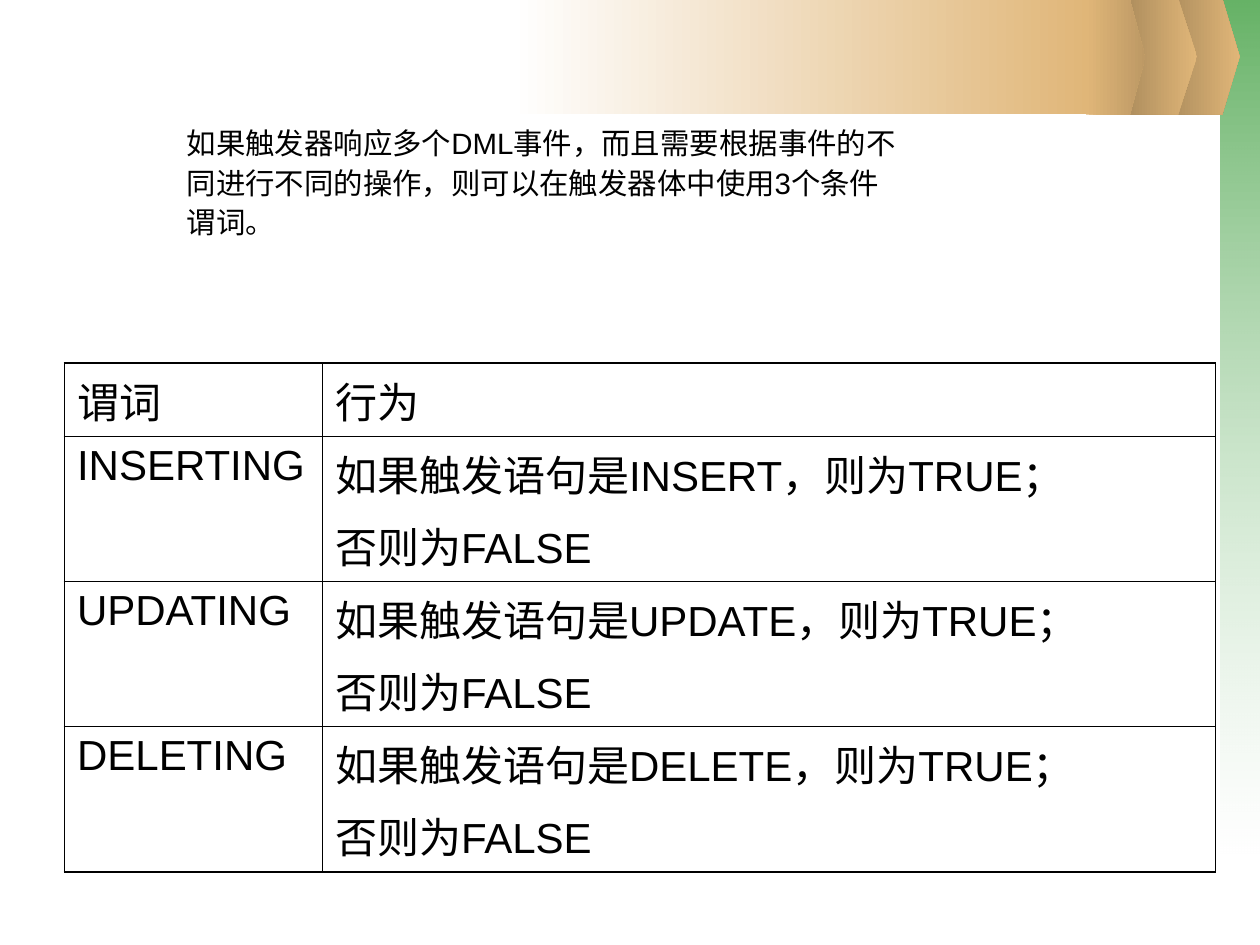
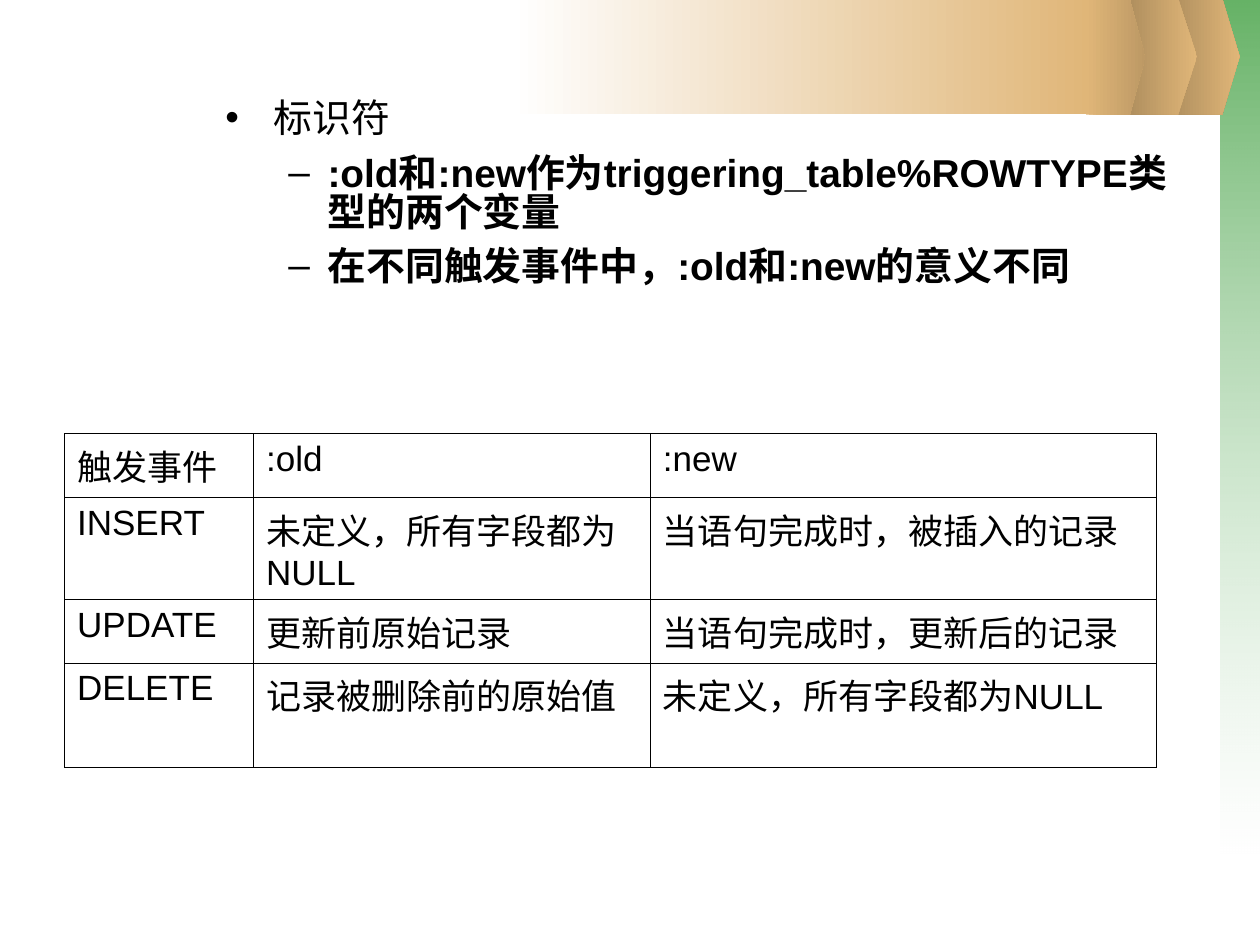
from lxml import etree
from pptx import Presentation
from pptx import util as u
from pptx.dml.color import RGBColor
from pptx.enum import shapes, text
from pptx.oxml.ns import qn

BLACK = RGBColor(0x00, 0x00, 0x00)
WHITE = RGBColor(0xFF, 0xFF, 0xFF)
GREEN = RGBColor(0x33, 0x99, 0x33)
SAND = RGBColor(0xE0, 0xB6, 0x78)
BROWN = RGBColor(0xAB, 0x8B, 0x5C)
DARK_SAND = RGBColor(0xBD, 0x99, 0x65)

FONT = "Arial"
THIN, THICK = u.Pt(0.45), u.Pt(1.08)
BULLETS = {0: "•", 1: "–"}
BULLET_INDENTS = {0: (0.97, -0.97), 1: (2.06, -0.79)}


def cm(*lengths):
    return [u.Cm(length) for length in lengths]


def apply(target, values):
    for name, value in values.items():
        setattr(target, name, value)


def child(parent, tag, **attributes):
    return etree.SubElement(parent, qn(tag), attributes)


class SlideBuilder:
    def __init__(self):
        self.deck = Presentation()
        apply(self.deck, {"slide_width": u.Cm(25.4), "slide_height": u.Cm(19.05)})
        self.layout = self.deck.slide_layouts[1]
        self.page = None
        self.shared = []

    def new_page(self):
        self.page = self.deck.slides.add_slide(self.layout)
        title = self.page.shapes.title.element
        title.getparent().remove(title)

    def gradient(self, shape, colors, angle=0, alphas=()):
        shape.shadow.inherit = False
        shape.line.fill.background()
        shape.fill.gradient()
        shape.fill.gradient_angle = angle
        for stop, color in zip(shape.fill.gradient_stops, colors):
            stop.color.rgb = color
        solid_colors = shape.element.spPr.iter(qn("a:srgbClr"))
        for color, alpha in zip(list(solid_colors), alphas):
            child(color, "a:alpha", val=str(alpha * 1000))
        self.shared.append(shape.element)

    def strip(self, bounds, colors, **style):
        shape = self.page.shapes.add_shape(shapes.MSO_SHAPE.RECTANGLE, *cm(*bounds))
        self.gradient(shape, colors, **style)

    def chevron(self, left, shoulder, tip, top, colors):
        bottom = 2.31
        outline = self.page.shapes.build_freeform(*cm(left, top))
        corners = [(shoulder, top), (tip, (top + bottom) / 2), (shoulder, bottom), (left, bottom)]
        outline.add_line_segments([cm(*corner) for corner in corners])
        self.gradient(outline.convert_to_shape(), colors)

    def share_bands(self):
        tree = self.layout.shapes.element
        for index, band in enumerate(self.shared):
            next(band.iter(qn("p:cNvPr"))).set("id", str(20 + index))
            tree.insert(2 + index, band)

    def add_words(self, para, words, size, bold=False):
        span = para.add_run()
        span.text = words
        apply(span.font, {"name": FONT, "size": u.Pt(size), "bold": bold})
        span.font.color.rgb = BLACK

    def paragraphs(self, frame, count):
        return [frame.paragraphs[0]] + [frame.add_paragraph() for _ in range(count - 1)]

    def body(self, bounds, lines, size, bulleted=False):
        box = self.page.placeholders[1]
        apply(box, dict(zip(("left", "top", "width", "height"), cm(*bounds))))
        frame = box.text_frame
        apply(frame, {"word_wrap": True, "auto_size": text.MSO_AUTO_SIZE.NONE})
        paras = self.paragraphs(frame, len(lines))
        for index, (para, (level, words)) in enumerate(zip(paras, lines)):
            properties = para._p.get_or_add_pPr()
            margin, indent = cm(*BULLET_INDENTS[level])
            properties.set("marL", str(margin))
            properties.set("indent", str(indent))
            if bulleted:
                child(child(properties, "a:buClr"), "a:srgbClr", val=str(BLACK))
                child(properties, "a:buChar", char=BULLETS[level])
            else:
                child(properties, "a:buNone")
            apply(para, {
                "level": level,
                "line_spacing": 0.83,
                "space_before": u.Pt(6 if index else 0),
                "space_after": u.Pt(3 if bulleted else 0),
            })
            self.add_words(para, words, size, bold=level > 0)

    def border(self, cell, widths):
        properties = cell._tc.get_or_add_tcPr()
        for index, (side, width) in enumerate(zip("LRTB", widths)):
            line = etree.Element(qn(f"a:ln{side}"), w=str(int(width)))
            child(child(line, "a:solidFill"), "a:srgbClr", val=str(BLACK))
            properties.insert(index, line)

    def table(self, left, top, columns, heights, rows, size, gap, outer):
        bounds = cm(left, top, sum(columns), sum(heights))
        grid = self.page.shapes.add_table(len(rows), len(columns), *bounds).table
        apply(grid, {"first_row": False, "horz_banding": False})
        for column, width in zip(grid.columns, columns):
            column.width = u.Cm(width)
        last_row, last_column = len(rows) - 1, len(columns) - 1
        for r, values in enumerate(rows):
            grid.rows[r].height = u.Cm(heights[r])
            for c, value in enumerate(values):
                cell = grid.cell(r, c)
                cell.fill.background()
                edges = (c == 0, c == last_column, r == 0, r == last_row)
                self.border(cell, [outer if edge else THIN for edge in edges])
                lines = value.split("\n")
                paras = self.paragraphs(cell.text_frame, len(lines))
                for index, (para, words) in enumerate(zip(paras, lines)):
                    para.space_before = u.Pt(gap if index else 0)
                    self.add_words(para, words, size)


def draw_bands(builder):
    builder.strip((24.61, 0, 0.79, 17.2), (GREEN, WHITE), angle=270, alphas=(75, 37))
    builder.chevron(23.5, 24.64, 24.99, -0.03, (BROWN, SAND))
    builder.chevron(22.63, 23.75, 24.13, -0.03, (BROWN, SAND))
    builder.strip((10.31, 0, 11.68, 2.31), (WHITE, SAND))
    builder.chevron(21.89, 22.78, 23.09, 0, (SAND, DARK_SAND))
    builder.share_bands()


def predicates_page(builder):
    lines = [
        "如果触发器响应多个DML事件，而且需要根据事件的不",
        "同进行不同的操作，则可以在触发器体中使用3个条件",
        "谓词。",
    ]
    builder.body((3.51, 2.51, 21, 3), [(0, line) for line in lines], 16.8)
    predicates = {"INSERTING": "INSERT", "UPDATING": "UPDATE", "DELETING": "DELETE"}
    rows = [("谓词", "行为")]
    for predicate, statement in predicates.items():
        rows.append((predicate, f"如果触发语句是{statement}，则为TRUE；\n否则为FALSE"))
    builder.table(1.3, 7.32, (5.2, 18), (1.27, 2.51, 2.51, 2.51), rows, 24, 6, THICK)


def identifiers_page(builder):
    lines = [
        (0, "标识符"),
        (1, ":old和:new作为triggering_table%ROWTYPE类型的两个变量"),
        (1, "在不同触发事件中，:old和:new的意义不同"),
    ]
    builder.body((4.29, 1.93, 20.02, 5.41), lines, 22.2, bulleted=True)
    rows = [
        ("触发事件", ":old", ":new"),
        ("INSERT", "未定义，所有字段都为NULL", "当语句完成时，被插入的记录"),
        ("UPDATE", "更新前原始记录", "当语句完成时，更新后的记录"),
        ("DELETE", "记录被删除前的原始值", "未定义，所有字段都为NULL"),
    ]
    builder.table(1.3, 8.74, (3.81, 8, 10.2), (1.12, 1.96, 1.12, 2.11), rows, 20, 5, THIN)


def main():
    builder = SlideBuilder()
    builder.new_page()
    draw_bands(builder)
    predicates_page(builder)
    builder.new_page()
    identifiers_page(builder)
    builder.deck.save("out.pptx")


if __name__ == "__main__":
    main()
